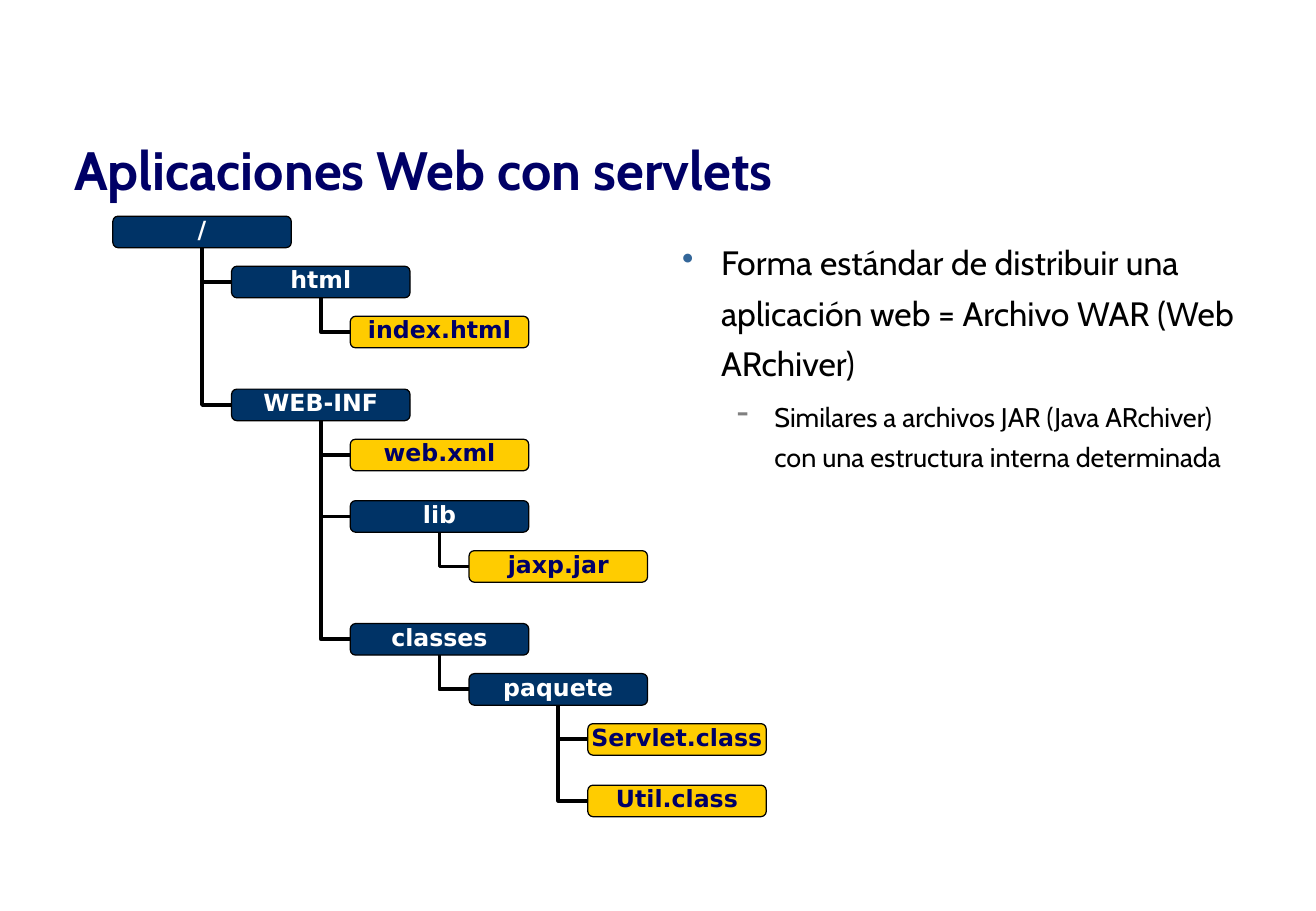
from dataclasses import dataclass

from lxml.etree import SubElement
from pptx import Presentation
from pptx.dml.color import RGBColor
from pptx.enum.shapes import MSO_CONNECTOR, MSO_SHAPE
from pptx.enum.text import MSO_ANCHOR, MSO_AUTO_SIZE, PP_ALIGN
from pptx.oxml.ns import qn
from pptx.util import Inches, Pt

TITLE = "Aplicaciones Web con servlets"
POINTS = [
    (0, "Forma estándar de distribuir una aplicación web = Archivo WAR (Web ARchiver)"),
    (1, "Similares a archivos JAR (Java ARchiver) con una estructura interna determinada"),
]
TREE = ("/", [
    ("html", [("index.html", None)]),
    ("WEB-INF", [
        ("web.xml", None),
        ("lib", [("jaxp.jar", None)]),
        ("classes", [
            ("paquete", [("Servlet.class", None), ("Util.class", None)]),
        ]),
    ]),
])


@dataclass(frozen=True)
class Theme:
    text: str = "Cabin"
    label: str = "DejaVu Sans"
    head: int = 32
    node: int = 14
    navy: str = "000066"
    folder: str = "003366"
    file: str = "FFCC00"
    white: str = "FFFFFF"
    black: str = "000000"


THEME = Theme()
LEVELS = [
    dict(size=20, mark="•", tint="336699", scale=100, left=0.38, hang=0.32, gap=0),
    dict(size=16, mark="-", tint="808080", scale=130, left=0.82, hang=0.31, gap=5),
]
WIDE, HIGH = 10.84, 7.5
LEFT, TOP = 0.93, 1.78
BOX_W, BOX_H = 1.47, 0.26
INDENT, DROP, ROW = 0.978, 0.412, 0.506


def color(code):
    return RGBColor.from_string(code)


def style(para, face, size, tint, bold=False):
    font = para.font
    font.name, font.size, font.bold = face, Pt(size), bold
    font.color.rgb = color(tint)


def frame(shape, side=0.05, edge=0.05, wrap=True, anchor=MSO_ANCHOR.TOP):
    text = shape.text_frame
    text.auto_size = MSO_AUTO_SIZE.NONE
    text.word_wrap = wrap
    text.vertical_anchor = anchor
    text.margin_left = text.margin_right = Inches(side)
    text.margin_top = text.margin_bottom = Inches(edge)
    return text


def add_title(slide):
    title = slide.shapes.title
    title.left, title.top = Inches(0.56), Inches(0.76)
    title.width, title.height = Inches(9.73), Inches(0.95)
    text = frame(title, anchor=MSO_ANCHOR.BOTTOM)
    text.text = TITLE
    para = text.paragraphs[0]
    para.alignment = PP_ALIGN.LEFT
    style(para, THEME.text, THEME.head, THEME.navy, True)


def add_bullet(para, level):
    props = para._p.get_or_add_pPr()
    props.set("marL", str(Inches(level["left"])))
    props.set("indent", str(-Inches(level["hang"])))
    tint = SubElement(props, qn("a:buClr"))
    SubElement(tint, qn("a:srgbClr"), val=level["tint"])
    SubElement(props, qn("a:buSzPct"), val=str(level["scale"] * 1000))
    SubElement(props, qn("a:buChar"), char=level["mark"])


def add_points(slide):
    box = slide.shapes.add_textbox(Inches(5.51), Inches(1.86), Inches(4.8), Inches(5.2))
    text = frame(box)
    for index, (depth, words) in enumerate(POINTS):
        para = text.add_paragraph() if index else text.paragraphs[0]
        level = LEVELS[depth]
        para.text, para.level = words, depth
        add_bullet(para, level)
        para.line_spacing = 1.25
        para.space_before = Pt(level["gap"])
        style(para, THEME.text, level["size"], THEME.black)


def add_box(slide, name, folder, col, top):
    box = slide.shapes.add_shape(
        MSO_SHAPE.ROUNDED_RECTANGLE, Inches(LEFT + col * INDENT), Inches(top),
        Inches(BOX_W), Inches(BOX_H))
    box.shadow.inherit = False
    box.fill.solid()
    box.fill.fore_color.rgb = color(THEME.folder if folder else THEME.file)
    box.line.color.rgb = color(THEME.black)
    box.line.width = Pt(0.75)
    text = frame(box, 0.06, 0.03, False, MSO_ANCHOR.MIDDLE)
    text.text = name
    para = text.paragraphs[0]
    para.alignment = PP_ALIGN.CENTER
    para.line_spacing = 0.8
    style(para, THEME.label, THEME.node, THEME.white if folder else THEME.navy, True)
    return box


def add_link(slide, child, parent):
    link = slide.shapes.add_connector(
        MSO_CONNECTOR.ELBOW, child.left, child.top + child.height // 2,
        parent.left + parent.width // 2, parent.top + parent.height)
    link.begin_connect(child, 1)
    link.end_connect(parent, 2)
    link.line.color.rgb = color(THEME.black)
    link.line.width = Pt(2.25)
    props = link._element.spPr
    props.find(qn("a:prstGeom")).set("prst", "bentConnector2")
    SubElement(props, qn("a:effectLst"))
    slide.shapes.title._element.addnext(link._element)


def add_node(slide, node, col=0, top=TOP, parent=None):
    name, kids = node
    box = add_box(slide, name, kids is not None, col, top)
    if parent is not None:
        add_link(slide, box, parent)
    count = 0
    for kid in kids or []:
        count += add_node(slide, kid, col + 1, top + DROP + count * ROW, box)
    return count + 1


def main():
    deck = Presentation()
    deck.slide_width, deck.slide_height = Inches(WIDE), Inches(HIGH)
    slide = deck.slides.add_slide(deck.slide_layouts[5])
    add_title(slide)
    add_points(slide)
    add_node(slide, TREE)
    deck.save("out.pptx")


if __name__ == "__main__":
    main()
